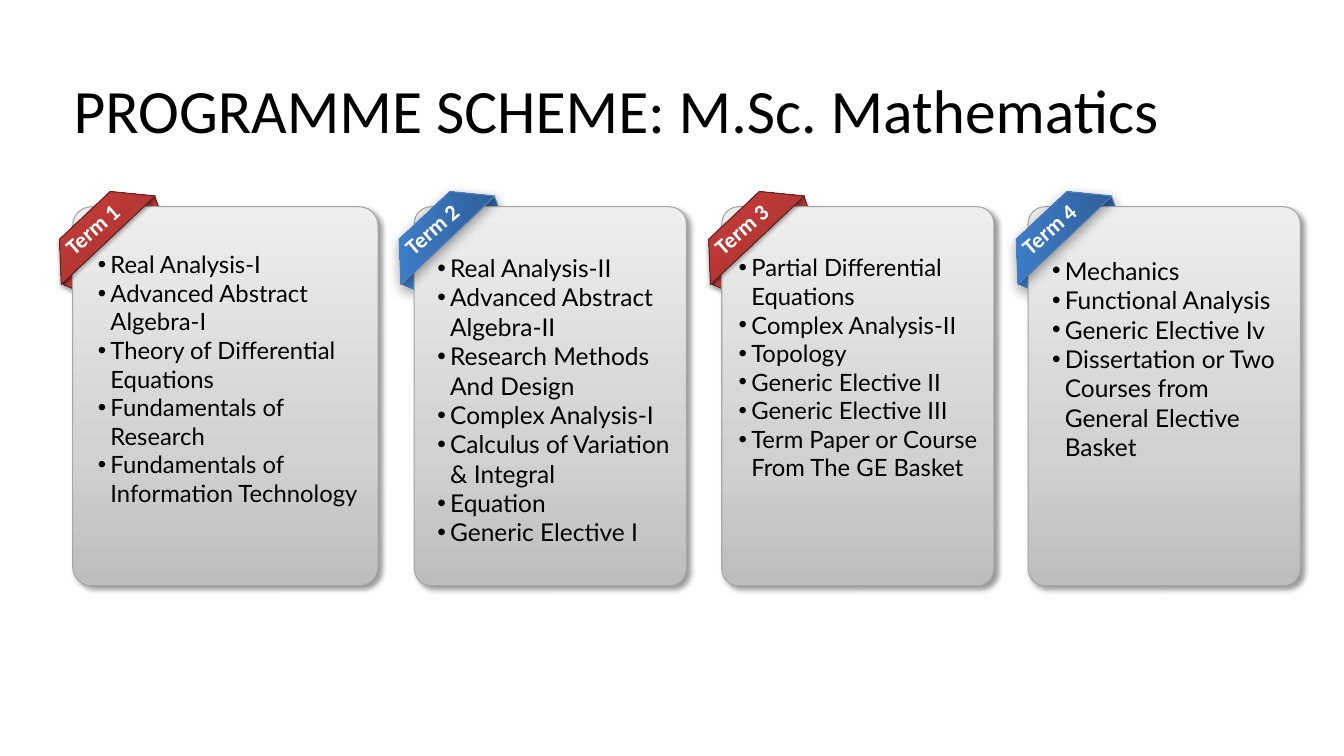
from pptx import Presentation
from pptx.dml.color import RGBColor
from pptx.enum.shapes import MSO_SHAPE as Shape
from pptx.enum.text import MSO_ANCHOR as Anchor, MSO_AUTO_SIZE as AutoSize, PP_ALIGN as Align
from pptx.oxml import parse_xml
from pptx.oxml.ns import nsdecls, qn
from pptx.util import Cm, Pt

COLORS = {"text": "000000", "label": "FFFFFF", "shadow": "000000"}

# Gradient stops (percent, colour), angle, outline, and shadow as
# (opacity percent, blur pt, distance pt, direction)
STYLES = {
    "card": {"stops": [(0, "BDBDBD"), (35, "D1D1D1"), (100, "EEEEEE")],
             "angle": 270, "line": "A6A6A6", "shadow": (40, 4, 3, 45)},
    "red": {"stops": [(0, "9C2F2D"), (80, "CB3E3A"), (100, "CE3B37")],
            "angle": 270, "line": "632523", "shadow": (35, 3.1, 1.8, 90)},
    "blue": {"stops": [(0, "2F5F99"), (80, "3D7CC7"), (100, "3A7CCB")],
             "angle": 225, "line": "4B7EBC", "shadow": (40, 9, 3, 90)},
}

# Card is (left, width), list is (left, top, width, height), all in cm
TERMS = [
    {"style": "red", "card": (1.83, 7.7), "ribbon": 0.81,
     "list": (2.21, 6.17, 7.21, 7.52), "size": 17,
     "courses": ["Real Analysis-I", "Advanced Abstract Algebra-I",
                 "Theory of Differential Equations", "Fundamentals of Research",
                 "Fundamentals of Information Technology"]},
    {"style": "blue", "card": (10.44, 6.86), "ribbon": 9.37,
     "list": (10.77, 6.25, 6.55, 8.48), "size": 17.5,
     "courses": ["Real Analysis-II", "Advanced Abstract Algebra-II",
                 "Research Methods And Design", "Complex Analysis-I",
                 "Calculus of Variation & Integral", "Equation",
                 "Generic Elective I"]},
    {"style": "red", "card": (18.19, 6.86), "ribbon": 17.17,
     "list": (18.36, 6.25, 6.86, 6.81), "size": 17,
     "courses": ["Partial Differential Equations", "Complex Analysis-II",
                 "Topology", "Generic Elective II", "Generic Elective III",
                 "Term Paper or Course From The GE Basket"]},
    {"style": "blue", "card": (25.91, 6.86), "ribbon": 24.92,
     "list": (26.26, 6.32, 6.55, 6.25), "size": 17.5,
     "courses": ["Mechanics", "Functional Analysis", "Generic Elective Iv",
                 "Dissertation or Two Courses from General Elective Basket"]},
]


def set_font(paragraph, name, size, color, bold=False):
    font = paragraph.font
    font.name, font.size, font.bold = name, Pt(size), bold
    font.color.rgb = RGBColor.from_string(COLORS[color])


def place(shape, left, top, width, height):
    shape.left, shape.top = Cm(left), Cm(top)
    shape.width, shape.height = Cm(width), Cm(height)


def apply_style(shape, style):
    """Give a shape its gradient, outline and shadow."""
    properties = shape.element.spPr
    shape.fill.gradient()
    stops = "".join(f'<a:gs pos="{position * 1000}"><a:srgbClr val="{color}"/></a:gs>'
                    for position, color in style["stops"])
    gradient = parse_xml(
        f'<a:gradFill {nsdecls("a")} rotWithShape="1"><a:gsLst>{stops}</a:gsLst>'
        f'<a:lin ang="{style["angle"] * 60000}" scaled="0"/></a:gradFill>')
    properties.replace(properties.find(qn("a:gradFill")), gradient)

    shape.line.color.rgb = RGBColor.from_string(style["line"])
    shape.line.width = Pt(0.75)

    shape.shadow.inherit = False
    opacity, blur, distance, direction = style["shadow"]
    properties.find(qn("a:effectLst")).append(parse_xml(
        f'<a:outerShdw {nsdecls("a")} blurRad="{Pt(blur)}" dist="{Pt(distance)}" '
        f'dir="{direction * 60000}" algn="ctr" rotWithShape="0">'
        f'<a:srgbClr val="{COLORS["shadow"]}"><a:alpha val="{opacity * 1000}"/>'
        f'</a:srgbClr></a:outerShdw>'))


def add_styled_shape(slide, kind, box, adjustment, style, rotation=0):
    shape = slide.shapes.add_shape(kind, *map(Cm, box))
    shape.adjustments[0] = adjustment
    shape.rotation = rotation
    apply_style(shape, STYLES[style])
    return shape


def add_label(slide, left, text):
    label = slide.shapes.add_textbox(Cm(left), Cm(5.2), Cm(2.34), Cm(1.02))
    label.rotation = 318.8
    frame = label.text_frame
    frame.word_wrap = False
    frame.auto_size = AutoSize.SHAPE_TO_FIT_TEXT
    frame.text = text
    set_font(frame.paragraphs[0], "Calibri", 16, "label", bold=True)


def fill_list(placeholder, term):
    """Turn a body placeholder into the bulleted course list of a term."""
    # Bring the list in front of its card
    placeholder.element.getparent().append(placeholder.element)
    place(placeholder, *term["list"])
    frame = placeholder.text_frame
    frame.text = "\n".join(term["courses"])
    frame.word_wrap = True
    frame.auto_size = AutoSize.SHAPE_TO_FIT_TEXT
    frame.vertical_anchor = Anchor.TOP
    for paragraph in frame.paragraphs:
        paragraph.space_before = Pt(0)
        properties = paragraph._p.get_or_add_pPr()
        properties.set("marL", str(Cm(0.32)))
        properties.set("indent", str(Cm(-0.32)))
        properties.append(parse_xml(f'<a:buFont {nsdecls("a")} typeface="Arial"/>'))
        properties.append(parse_xml(f'<a:buChar {nsdecls("a")} char="•"/>'))
        set_font(paragraph, "Lato", term["size"], "text")


def add_term(slide, number, term, placeholder):
    style, ribbon_left = term["style"], term["ribbon"]
    card_left, card_width = term["card"]

    # Folded end of the ribbon, behind the card
    fold = add_styled_shape(slide, Shape.TRAPEZOID, (ribbon_left + 0.43, 6.02, 3.2, 0.28),
                            0.439, style, 316.2)
    fold.element.spPr.find(qn("a:xfrm")).set("flipV", "1")

    # Card and its courses
    add_styled_shape(slide, Shape.ROUNDED_RECTANGLE, (card_left, 5.21, card_width, 9.55),
                     0.062, "card")
    fill_list(placeholder, term)

    # Ribbon with the term name
    add_styled_shape(slide, Shape.TRAPEZOID, (ribbon_left, 5.31, 3.25, 0.86),
                     0.869, style, 316.7)
    add_label(slide, ribbon_left + 0.46, f"Term {number}")


def set_title(slide, text):
    title = slide.shapes.title
    place(title, 1.6, 1.02, 29.95, 3.68)
    title.text_frame.text = text
    title.text_frame.vertical_anchor = Anchor.MIDDLE
    paragraph = title.text_frame.paragraphs[0]
    paragraph.alignment = Align.LEFT
    paragraph.line_spacing = 0.9
    set_font(paragraph, "Calibri", 44, "text")


def main():
    presentation = Presentation()
    presentation.slide_width, presentation.slide_height = Cm(33.87), Cm(19.05)
    # The comparison layout has a title and four body placeholders
    slide = presentation.slides.add_slide(presentation.slide_layouts[4])
    set_title(slide, "PROGRAMME SCHEME: M.Sc. Mathematics")
    bodies = [slide.placeholders[index] for index in range(1, 5)]
    for number, (term, body) in enumerate(zip(TERMS, bodies), start=1):
        add_term(slide, number, term, body)
    presentation.save("out.pptx")


if __name__ == "__main__":
    main()
